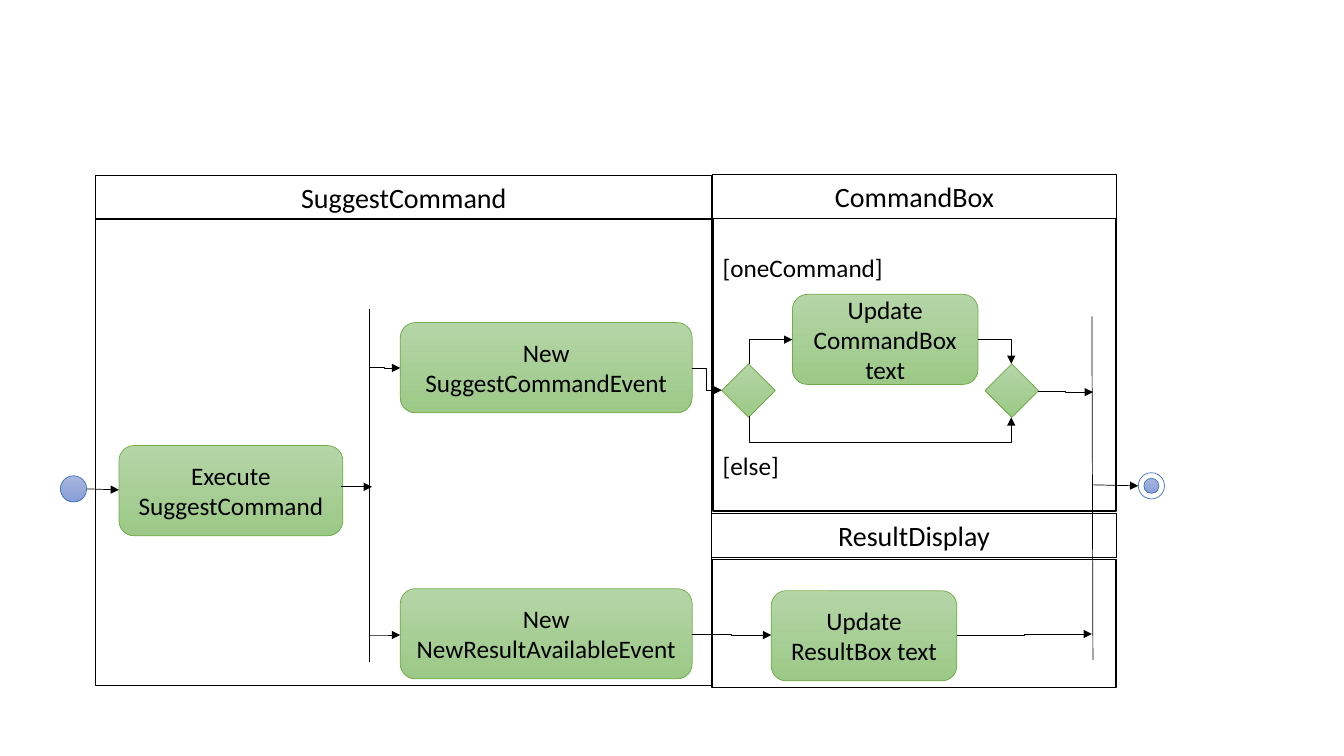
from math import cos, radians, sin

from lxml.etree import SubElement
from pptx import Presentation
from pptx.dml.color import RGBColor
from pptx.enum.shapes import MSO_CONNECTOR, MSO_SHAPE
from pptx.enum.text import MSO_ANCHOR, PP_ALIGN
from pptx.oxml.ns import qn
from pptx.util import Inches, Pt

COLORS = {
    "ink": "000000", "paper": "FFFFFF",
    "green_top": "B5D5A7", "green_low": "9CC987", "green_edge": "70AD47",
    "blue_top": "A8B7DF", "blue_low": "889ED7", "blue_edge": "4472C4",
}
COLUMNS, ROWS = 133.3, 75
CELL = Inches(0.1)
ACTION_ROWS, DIAMOND, HEADER_ROWS = 8.94, 5.3, 4.4


def color(name):
    """Return a named colour."""
    return RGBColor.from_string(COLORS[name])


def cells(*counts):
    """Turn grid cells into lengths."""
    return [round(count * CELL) for count in counts]


def write(box, text, size, align=PP_ALIGN.CENTER, anchor=MSO_ANCHOR.MIDDLE, wrap=True):
    """Put one styled paragraph into a box."""
    frame = box.text_frame
    frame.word_wrap = wrap
    frame.vertical_anchor = anchor
    para = frame.paragraphs[0]
    para.text = text
    para.alignment = align
    para.font.name = "Calibri"
    para.font.size = Pt(size)
    para.font.color.rgb = color("ink")


def outlined(page, kind, place, edge="ink", weight=0.5):
    """Add an unfilled preset shape with a border."""
    shape = page.shapes.add_shape(kind, *cells(*place))
    shape.shadow.inherit = False
    shape.fill.background()
    shape.line.color.rgb = color(edge)
    shape.line.width = Pt(weight)
    return shape


def shaded(page, kind, place, hue):
    """Add a preset shape shaded from top to bottom."""
    shape = outlined(page, kind, place, f"{hue}_edge")
    shape.fill.gradient()
    shape.fill.gradient_angle = 270
    for stop, tone in zip(shape.fill.gradient_stops, ("top", "low")):
        stop.color.rgb = color(f"{hue}_{tone}")
    return shape


def action(page, left, top, width, text):
    """Add a rounded activity box."""
    box = shaded(page, MSO_SHAPE.ROUNDED_RECTANGLE, (left, top, width, ACTION_ROWS), "green")
    write(box, text, 18)


def guard(page, left, top, width, text):
    """Add a branch condition label."""
    box = page.shapes.add_textbox(*cells(left, top, width, 4))
    write(box, text, 18, PP_ALIGN.LEFT, MSO_ANCHOR.TOP, False)


def lane(page, name, left, header_top, width, body_top, body_rows):
    """Add a swimlane with its header."""
    outlined(page, MSO_SHAPE.RECTANGLE, (left, body_top, width, body_rows), weight=1)
    header = outlined(page, MSO_SHAPE.RECTANGLE, (left, header_top, width, HEADER_ROWS), weight=0.75)
    write(header, name, 20)


def line(page, start, end, arrow=True, kind=MSO_CONNECTOR.STRAIGHT):
    """Add a thin connector, with an arrowhead if wanted."""
    link = page.shapes.add_connector(kind, *cells(*start, *end))
    link.line.color.rgb = color("ink")
    link.line.width = Pt(0.5)
    properties = link._element.spPr
    if arrow:
        SubElement(properties.find(qn("a:ln")), qn("a:tailEnd"), type="triangle")
    SubElement(properties, qn("a:effectLst"))
    return link


def elbow(page, start, end, turn=0, preset="bentConnector3", bend=None):
    """Add a bent arrow whose frame is turned clockwise by some degrees."""
    middle = [(a + b) / 2 for a, b in zip(start, end)]
    cosine, sine = cos(radians(turn)), sin(radians(turn))

    def unturn(point):
        across, down = point[0] - middle[0], point[1] - middle[1]
        return (middle[0] + across * cosine + down * sine,
                middle[1] - across * sine + down * cosine)

    link = line(page, unturn(start), unturn(end), kind=MSO_CONNECTOR.ELBOW)
    properties = link._element.spPr
    properties.find(qn("a:xfrm")).set("rot", str(turn * 60000))
    geometry = properties.find(qn("a:prstGeom"))
    geometry.set("prst", preset)
    if bend is not None:
        SubElement(geometry.find(qn("a:avLst")), qn("a:gd"),
                   name="adj1", fmla=f"val {round(bend * 100000)}")


def draw_lanes(page):
    """Draw the three swimlanes."""
    lane(page, "CommandBox", 70.7, 17.3, 40, 21.7, 29)
    lane(page, "ResultDisplay", 70.6, 50.9, 40.1, 55.5, 12.7)
    lane(page, "SuggestCommand", 9.5, 17.4, 61.1, 21.7, 46.3)


def draw_nodes(page):
    """Draw the activities, decisions, guards and end points."""
    shaded(page, MSO_SHAPE.OVAL, (6, 47.2, 2.6, 2.6), "blue")
    ring = outlined(page, MSO_SHAPE.OVAL, (112.9, 46.9, 2.6, 2.6), "blue_edge")
    ring.fill.solid()
    ring.fill.fore_color.rgb = color("paper")
    shaded(page, MSO_SHAPE.OVAL, (113.45, 47.45, 1.5, 1.5), "blue")
    for left in (71.6, 97.7):
        shaded(page, MSO_SHAPE.DIAMOND, (left, 36.1, DIAMOND, DIAMOND), "green")
    action(page, 11.8, 44.2, 22.2, "Execute SuggestCommand")
    action(page, 39.7, 32, 28.95, "New SuggestCommandEvent")
    action(page, 39.7, 58.4, 28.95, "New NewResultAvailableEvent")
    action(page, 78.6, 29.2, 18.4, "Update CommandBox text")
    action(page, 76.5, 58.6, 18.4, "Update ResultBox text")
    guard(page, 70.7, 24.5, 18.3, "[oneCommand]")
    guard(page, 70.7, 44.2, 9.3, "[else]")


def draw_flow(page):
    """Draw the fork and join bars and the arrows."""
    line(page, (36.6, 65.7), (36.6, 30.7), arrow=False)
    line(page, (108.4, 65.5), (108.3, 31.4), arrow=False)
    line(page, (8.6, 48.5), (11.8, 48.6))
    line(page, (108.3, 48.1), (112.9, 48.2))
    for start, end in (
        ((33.8, 48.3), (36.9, 48.3)),
        ((36.6, 36.4), (39.7, 36.5)),
        ((36.6, 63), (39.7, 63)),
        ((68.6, 36.5), (71.6, 38.7)),
        ((68.6, 62.9), (76.5, 63)),
        ((94.9, 63), (108.3, 62.9)),
        ((103, 38.8), (108.4, 38.9)),
    ):
        elbow(page, start, end)
    elbow(page, (74.3, 36.1), (78.6, 33.7), 90, "bentConnector2")
    elbow(page, (97, 33.7), (100.3, 36.1), 0, "bentConnector2")
    elbow(page, (74.3, 41.3), (100.3, 41.4), 270, bend=26)


def main():
    """Build the activity diagram."""
    deck = Presentation()
    deck.slide_width, deck.slide_height = cells(COLUMNS, ROWS)
    page = deck.slides.add_slide(deck.slide_layouts[6])
    draw_nodes(page)
    draw_lanes(page)
    draw_flow(page)
    deck.save("out.pptx")


if __name__ == "__main__":
    main()
